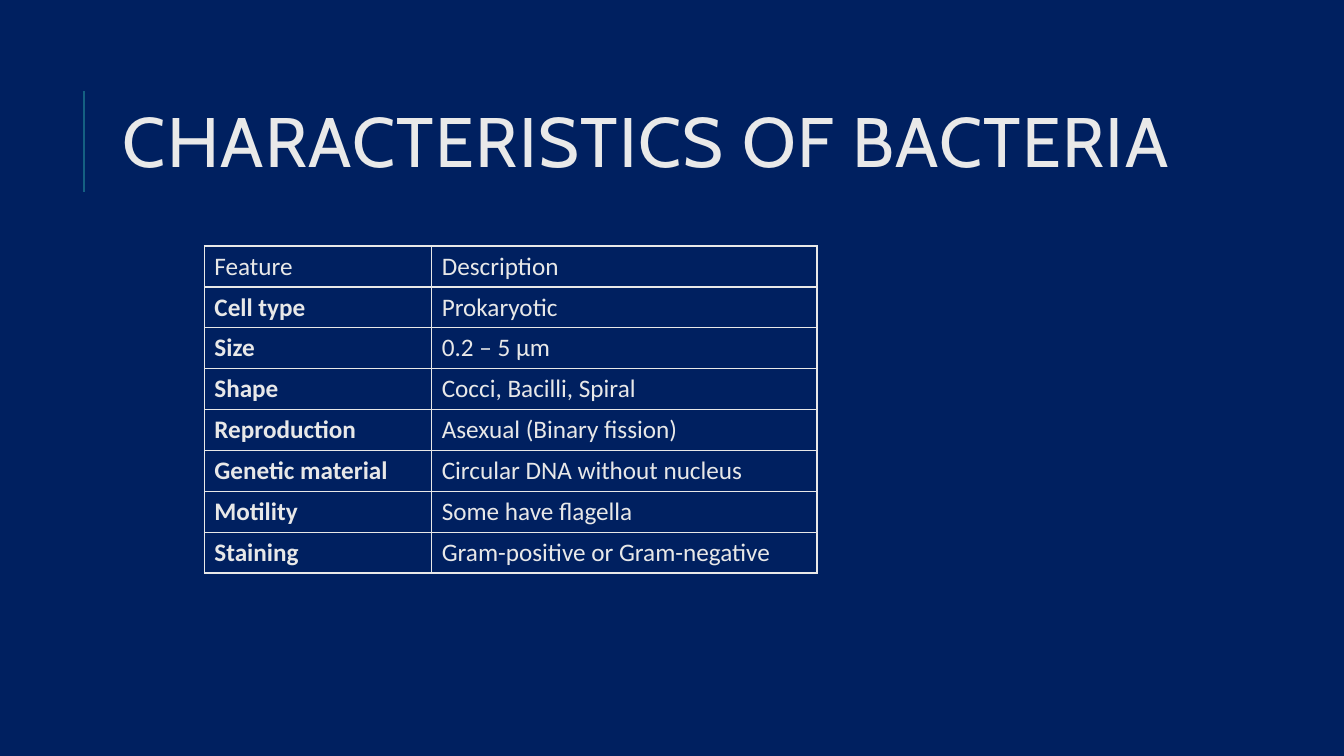
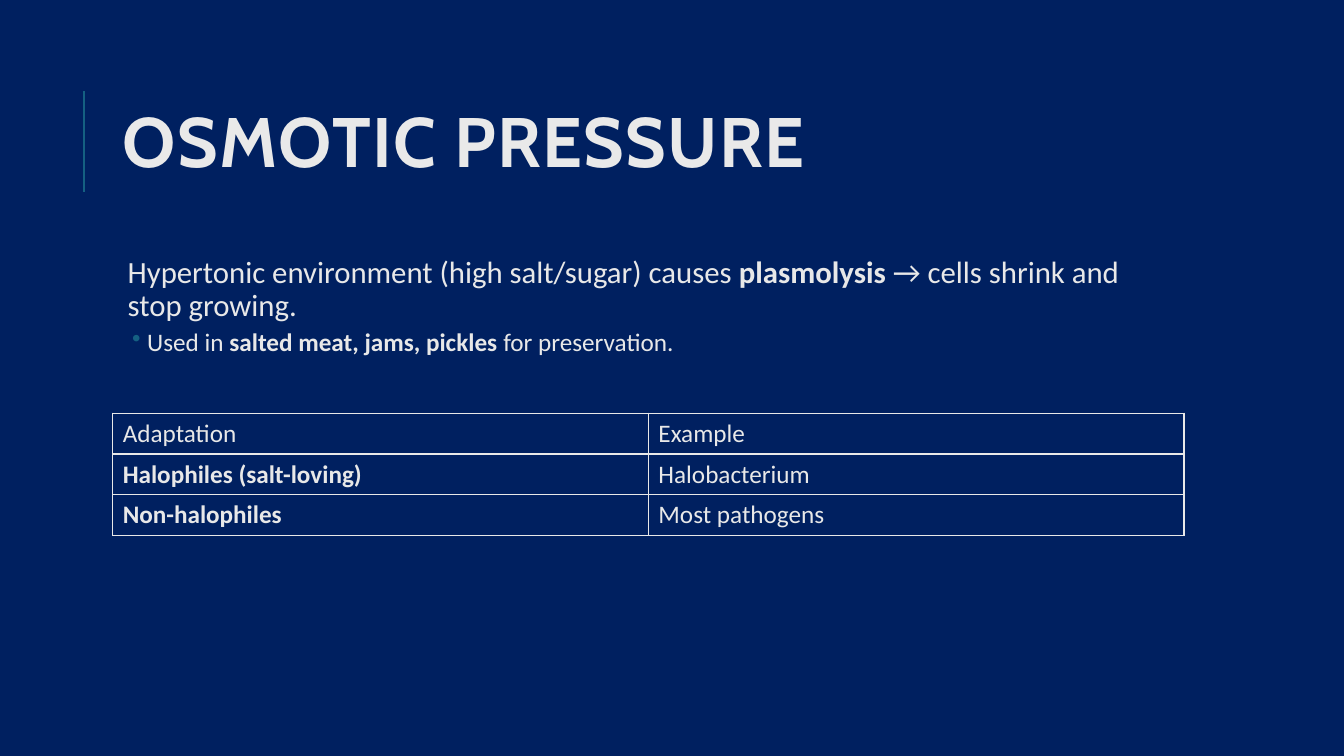
from lxml import etree
from pptx import Presentation
from pptx.dml.color import RGBColor
from pptx.enum.shapes import MSO_CONNECTOR
from pptx.enum.text import MSO_ANCHOR
from pptx.oxml import parse_xml
from pptx.oxml.ns import nsdecls, qn
from pptx.util import Cm, Pt

MIDDLE = MSO_ANCHOR.MIDDLE
STRAIGHT = MSO_CONNECTOR.STRAIGHT

COLORS = {"back": "002060", "accent": "156082", "title": "E9E9E9", "text": "E8E8E8"}
LEFT, WIDTH = Cm(2.84), Cm(27)
ROW_HEIGHT = Cm(1.03)

SLIDES = [
    {
        "title": "CHARACTERISTICS OF BACTERIA",
        "title_bold": False,
        "body": [],
        "table_at": (Cm(5.15), Cm(6.2)),
        "columns": (Cm(5.73), Cm(9.71)),
        "rows": [
            ("Feature", "Description"),
            ("Cell type", "Prokaryotic"),
            ("Size", "0.2 – 5 µm"),
            ("Shape", "Cocci, Bacilli, Spiral"),
            ("Reproduction", "Asexual (Binary fission)"),
            ("Genetic material", "Circular DNA without nucleus"),
            ("Motility", "Some have flagella"),
            ("Staining", "Gram-positive or Gram-negative"),
        ],
    },
    {
        "title": "OSMOTIC PRESSURE",
        "title_bold": True,
        # Each paragraph: level, then runs that alternate regular and bold
        "body": [
            (0, ("Hypertonic environment (high salt/sugar) causes ", "plasmolysis",
                 " → cells shrink and stop growing.")),
            (1, ("Used in ", "salted meat, jams, pickles", " for preservation.")),
        ],
        "table_at": (LEFT, Cm(10.41)),
        "columns": (WIDTH / 2, WIDTH / 2),
        "rows": [
            ("Adaptation", "Example"),
            ("Halophiles (salt-loving)", "Halobacterium"),
            ("Non-halophiles", "Most pathogens"),
        ],
    },
]


def add_text(p, text, size=18, font="Calibri", color="text", bold=False, spacing=0):
    r = p.add_run()
    r.text = text
    r.font.size = Pt(size)
    r.font.name = font
    r.font.bold = bold
    r.font.color.rgb = RGBColor.from_string(COLORS[color])
    if spacing:
        r.font._element.set("spc", str(spacing * 100))


def add_borders(cell):
    tcPr = cell._tc.get_or_add_tcPr()
    for side in ("lnL", "lnR", "lnT", "lnB"):
        tcPr.append(parse_xml(
            f'<a:{side} {nsdecls("a")} w="{Pt(1)}"><a:solidFill>'
            f'<a:srgbClr val="{COLORS["text"]}"/></a:solidFill></a:{side}>'))


prs = Presentation()
prs.slide_width, prs.slide_height = Cm(33.87), Cm(19.05)

# Shared background
fill = prs.slide_master.background.fill
fill.solid()
fill.fore_color.rgb = RGBColor.from_string(COLORS["back"])

for content in SLIDES:
    s = prs.slides.add_slide(prs.slide_layouts[6])

    # Accent line beside the title
    line = s.shapes.add_connector(STRAIGHT, Cm(2.12), Cm(4.83), Cm(2.12), Cm(2.29))
    line.line.color.rgb = RGBColor.from_string(COLORS["accent"])
    line.line.width = Pt(1.5)
    etree.SubElement(line._element.spPr, qn("a:effectLst"))

    # Title
    tf = s.shapes.add_textbox(LEFT, Cm(1.63), WIDTH, Cm(4.17)).text_frame
    tf.word_wrap = True
    tf.vertical_anchor = MIDDLE
    p = tf.paragraphs[0]
    p.line_spacing = 0.8
    add_text(p, content["title"], size=50, font="Cabin", color="title",
             bold=content["title_bold"], spacing=1)

    # Body text
    if content["body"]:
        tf = s.shapes.add_textbox(LEFT, Cm(6.35), WIDTH, Cm(3.5)).text_frame
        tf.word_wrap = True
        tf.margin_left = tf.margin_right = tf.margin_top = tf.margin_bottom = Cm(0.13)
        for i, (level, runs) in enumerate(content["body"]):
            p = tf.add_paragraph() if i else tf.paragraphs[0]
            p.level = level
            p.line_spacing = 0.9
            p.space_after = Pt(4 if level else 2)
            pPr = p._p.get_or_add_pPr()
            pPr.set("marL", str(Cm(0.74 if level else 0.25)))
            if level:
                p.space_before = Pt(2)
                pPr.set("indent", str(-Cm(0.38)))
                bullet_color = etree.SubElement(pPr, qn("a:buClr"))
                etree.SubElement(bullet_color, qn("a:srgbClr"), val=COLORS["accent"])
                etree.SubElement(pPr, qn("a:buChar"), char="•")
            for n, text in enumerate(runs):
                add_text(p, text, size=18 if level else 22, bold=n % 2 == 1)

    # Table
    rows, columns = content["rows"], content["columns"]
    table = s.shapes.add_table(len(rows), len(columns), *content["table_at"],
                               int(sum(columns)), ROW_HEIGHT * len(rows)).table
    table.first_row = table.horz_banding = False
    for column, width in zip(table.columns, columns):
        column.width = int(width)
    for i, row in enumerate(rows):
        table.rows[i].height = ROW_HEIGHT
        for j, text in enumerate(row):
            cell = table.cell(i, j)
            cell.vertical_anchor = MIDDLE
            add_borders(cell)
            cell.fill.background()
            add_text(cell.text_frame.paragraphs[0], text, bold=i > 0 and j == 0)

prs.save("out.pptx")
